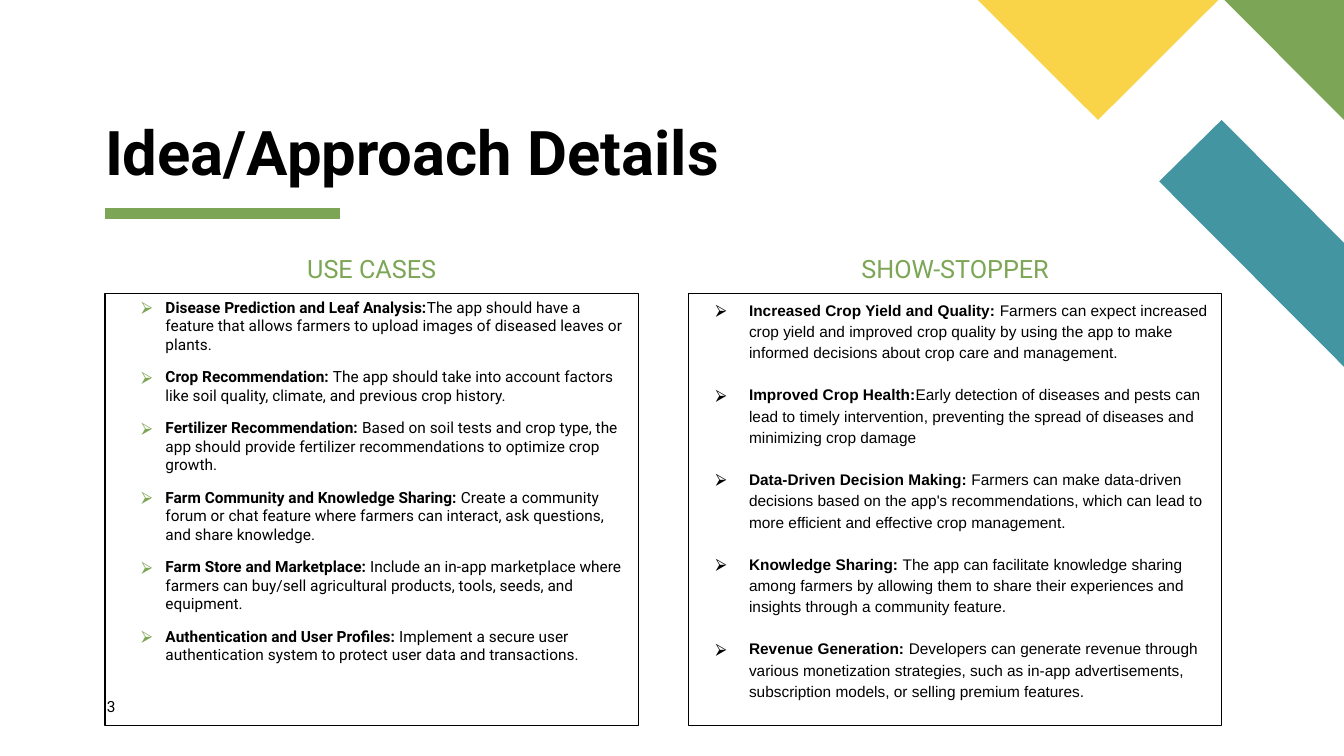
import pptx
import pptx.dml.color
import pptx.enum.shapes
import pptx.enum.text
import pptx.oxml
import pptx.oxml.ns
import pptx.util
from lxml import etree

Pt = pptx.util.Pt
RGB = pptx.dml.color.RGBColor.from_string
ALIGN = pptx.enum.text.PP_ALIGN
ANCHOR = pptx.enum.text.MSO_ANCHOR
qn = pptx.oxml.ns.qn

THEME = {
    "green": RGB("7CA655"), "teal": RGB("4495A2"), "yellow": RGB("F9D448"),
    "black": RGB("000000"), "head_font": "Roboto", "alt_font": "Arial",
    "title": Pt(44), "heading": Pt(18), "body": Pt(11),
}

USE_CASES = [
    ("Disease Prediction and Leaf Analysis:", "The app should have a feature that allows farmers to upload images of diseased leaves or plants."),
    ("Crop Recommendation: ", "The app should take into account factors like soil quality, climate, and previous crop history."),
    ("Fertilizer Recommendation: ", "Based on soil tests and crop type, the app should provide fertilizer recommendations to optimize crop growth."),
    ("Farm Community and Knowledge Sharing: ", "Create a community forum or chat feature where farmers can interact, ask questions, and share knowledge."),
    ("Farm Store and Marketplace: ", "Include an in-app marketplace where farmers can buy/sell agricultural products, tools, seeds, and equipment."),
    ("Authentication and User Profiles: ", "Implement a secure user authentication system to protect user data and transactions."),
]
SHOW_STOPPERS = [
    ("Increased Crop Yield and Quality: ", "Farmers can expect increased crop yield and improved crop quality by using the app to make informed decisions about crop care and management."),
    ("Improved Crop Health:", "Early detection of diseases and pests can lead to timely intervention, preventing the spread of diseases and minimizing crop damage"),
    ("Data-Driven Decision Making: ", "Farmers can make data-driven decisions based on the app's recommendations, which can lead to more efficient and effective crop management."),
    ("Knowledge Sharing: ", "The app can facilitate knowledge sharing among farmers by allowing them to share their experiences and insights through a community feature."),
    ("Revenue Generation: ", "Developers can generate revenue through various monetization strategies, such as in-app advertisements, subscription models, or selling premium features."),
]


def place(sp, box, anchor, inset=(7.2, 3.6)):
    """Move a text shape to box and set its frame; return the frame."""
    sp.left, sp.top, sp.width, sp.height = map(Pt, box)
    x, y = map(Pt, inset)
    tf = sp.text_frame
    frame = {"margin_left": x, "margin_right": x, "margin_top": y, "margin_bottom": y,
             "word_wrap": True, "vertical_anchor": anchor,
             "auto_size": pptx.enum.text.MSO_AUTO_SIZE.NONE}
    for name, value in frame.items():
        setattr(tf, name, value)
    return tf


def add_run(p, text, size, font=THEME["head_font"], color=THEME["black"], bold=False):
    r = p.add_run()
    r.text = text
    for name, value in {"size": size, "name": font, "bold": bold}.items():
        setattr(r.font, name, value)
    r.font.color.rgb = color


prs = pptx.Presentation()
prs.slide_width, prs.slide_height = Pt(960), Pt(540)
s = prs.slides.add_slide(prs.slide_layouts.get_by_name("Comparison"))

# Corner shapes
corner_shapes = [
    ("teal", [(960, 262), (960, 173.5), (872.6, 85.7), (828, 129.6)]),
    ("green", [(960, 85.7), (960, 0), (874.6, 0)]),
    ("yellow", [(698.4, 0), (784.3, 85.7), (870.2, 0)]),
]
for color, points in corner_shapes:
    (x, y), *rest = [(Pt(px), Pt(py)) for px, py in points]
    outline = s.shapes.build_freeform(x, y)
    outline.add_line_segments(rest, close=True)
    sp = outline.convert_to_shape()
    sp.shadow.inherit = False
    sp.fill.solid()
    sp.fill.fore_color.rgb = THEME[color]
    sp.line.fill.background()

# Title and its underline
tf = place(s.shapes.title, (75, 86.4, 455, 48.2), ANCHOR.BOTTOM, (0, 0))
p = tf.paragraphs[0]
p.alignment, p.line_spacing = ALIGN.LEFT, 0.9
add_run(p, "Idea/Approach Details", THEME["title"], bold=True)

underline = s.shapes.add_connector(
    pptx.enum.shapes.MSO_CONNECTOR.STRAIGHT, Pt(75), Pt(152.8), Pt(243), Pt(152.8))
underline.line.color.rgb = THEME["green"]
underline.line.width = Pt(8)
etree.SubElement(underline.element.spPr, qn("a:effectLst"))

# Two columns: heading above a framed list
columns = [
    {"heading": "USE CASES", "idx": 1, "head_box": (75, 180, 381, 25.2), "left": 75,
     "items": USE_CASES, "font": THEME["head_font"], "bullet": THEME["green"],
     "hang": 17.3, "spacing": 1.0, "gap": 10},
    {"heading": "SHOW-STOPPER", "idx": 3, "head_box": (480, 180, 404.6, 25.2), "left": 491.8,
     "items": SHOW_STOPPERS, "font": THEME["alt_font"], "bullet": THEME["black"],
     "hang": 23.8, "spacing": 1.15, "gap": 15},
]
placeholders = {sp.placeholder_format.idx: sp for sp in s.placeholders}
for col in columns:
    tf = place(placeholders[col["idx"]], col["head_box"], ANCHOR.TOP)
    p = tf.paragraphs[0]
    p.alignment, p.line_spacing, p.space_before = ALIGN.CENTER, 0.9, Pt(0)
    add_run(p, col["heading"], THEME["heading"], color=THEME["green"])

    sp = placeholders[col["idx"] + 1]
    tf = place(sp, (col["left"], 209.3, 381, 309), ANCHOR.TOP)
    sp.line.color.rgb = THEME["black"]
    sp.line.width = Pt(0.75)
    for i, (lead, detail) in enumerate(col["items"]):
        p = tf.add_paragraph() if i else tf.paragraphs[0]
        p.line_spacing = col["spacing"]
        p.space_before = Pt(col["gap"] if i else 0)
        pPr = p._p.get_or_add_pPr()
        pPr.set("marL", str(Pt(36)))
        pPr.set("indent", str(-Pt(col["hang"])))
        bullet_color = etree.SubElement(pPr, qn("a:buClr"))
        etree.SubElement(bullet_color, qn("a:srgbClr"), val=str(col["bullet"]))
        etree.SubElement(pPr, qn("a:buFont"), typeface=THEME["alt_font"])
        etree.SubElement(pPr, qn("a:buChar"), char="⮚")
        add_run(p, lead, THEME["body"], col["font"], bold=True)
        add_run(p, detail, THEME["body"], col["font"])

# Page number
page_box = (76.3, 498.2, 41, 19.4)
sp = s.shapes.add_textbox(*map(Pt, page_box))
tf = place(sp, page_box, ANCHOR.TOP, (0, 0))
add_run(tf.paragraphs[0], "3", THEME["body"])

prs.save("out.pptx")
